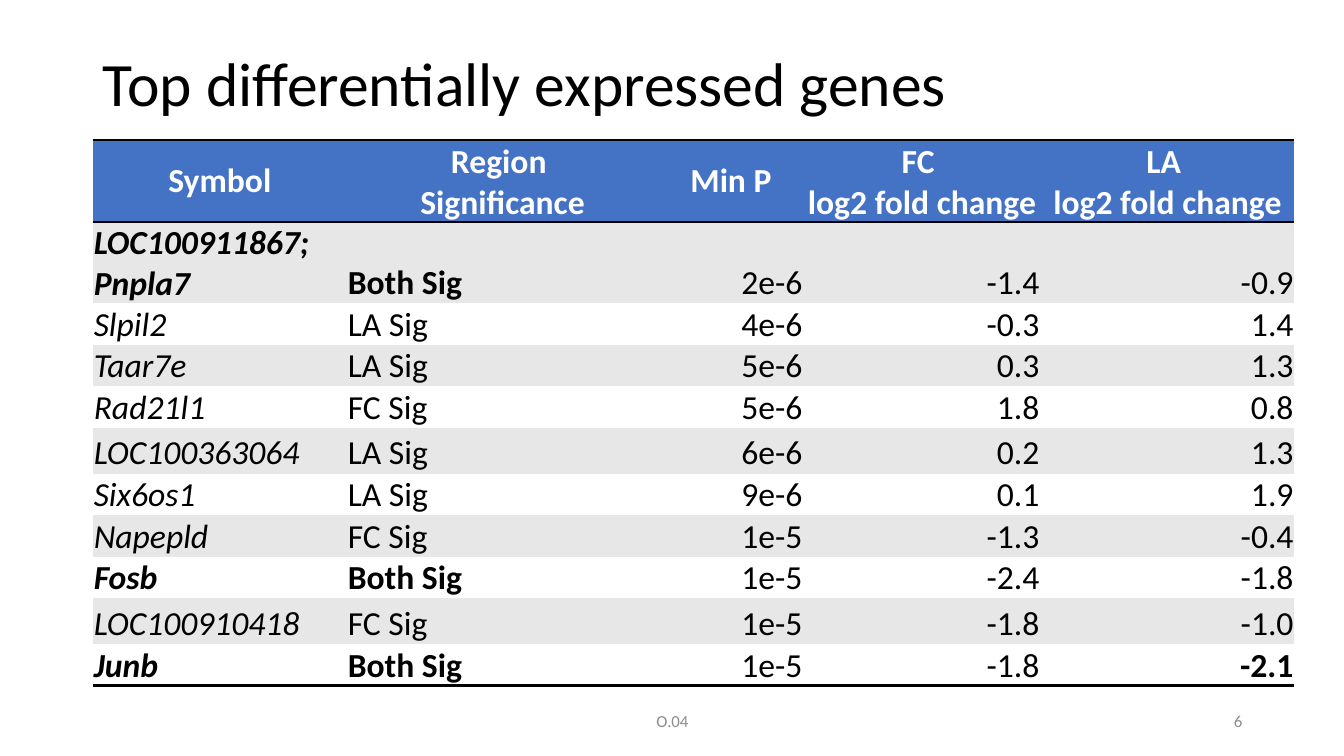
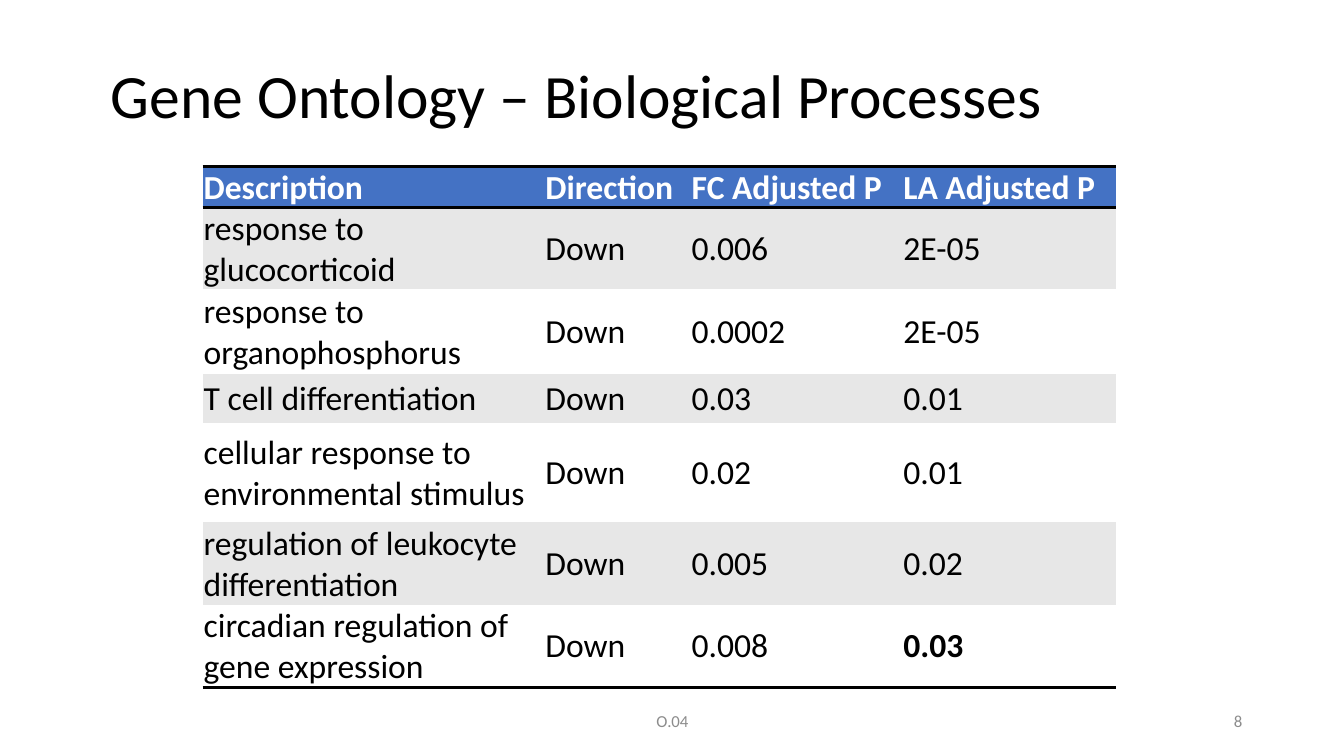
from pptx import Presentation
from pptx import util as u
from pptx.dml import color
from pptx.enum import text
from pptx.oxml import ns
from lxml import etree

PX = 9144
FONT = "Calibri"
NO_GRID_STYLE = "{2D5ABB26-0587-4C30-8999-92F81FD0307C}"
COLORS = {
    "ink": "000000",
    "header": "4472C4",
    "band": "E7E7E7",
    "paper": "FFFFFF",
    "footer": "8C8C8C",
}
LEFT, CENTER, RIGHT = text.PP_ALIGN.LEFT, text.PP_ALIGN.CENTER, text.PP_ALIGN.RIGHT
MIDDLE, BOTTOM = text.MSO_ANCHOR.MIDDLE, text.MSO_ANCHOR.BOTTOM


def style_text(frame, size, ink, align, bold=False, italic=False):
    for para in frame.paragraphs:
        para.alignment = align
        for span in para.runs:
            span.font.name = FONT
            span.font.size = u.Pt(size)
            span.font.bold = bold
            span.font.italic = italic
            span.font.color.rgb = color.RGBColor.from_string(COLORS[ink])


def add_rule(cell, side):
    properties = cell._tc.get_or_add_tcPr()
    line = etree.SubElement(properties, ns.qn(f"a:ln{side}"), w=str(u.Pt(2)))
    fill = etree.SubElement(line, ns.qn("a:solidFill"))
    etree.SubElement(fill, ns.qn("a:srgbClr"), val=COLORS["ink"])


PAGES = [
    {
        "title": "Top differentially expressed genes",
        "title_at": (92, 13),
        "number": "6",
        "table_at": (92, 139),
        "widths": [252, 309, 144, 235, 252],
        "heights": [69, 69, 35, 35, 35, 46, 35, 35, 35, 46, 35],
        "header_align": [CENTER] * 5,
        "body_align": [LEFT, LEFT, RIGHT, RIGHT, RIGHT],
        "body_anchor": BOTTOM,
        "italic_columns": [0],
        "rows": [
            ["Symbol", "Region \nSignificance", "Min P",
             "FC \nlog2 fold change", "LA \nlog2 fold change"],
            ["LOC100911867; Pnpla7", "Both Sig", "2e-6", "-1.4", "-0.9"],
            ["Slpil2", "LA Sig", "4e-6", "-0.3", "1.4"],
            ["Taar7e", "LA Sig", "5e-6", "0.3", "1.3"],
            ["Rad21l1", "FC Sig", "5e-6", "1.8", "0.8"],
            ["LOC100363064", "LA Sig", "6e-6", "0.2", "1.3"],
            ["Six6os1", "LA Sig", "9e-6", "0.1", "1.9"],
            ["Napepld", "FC Sig", "1e-5", "-1.3", "-0.4"],
            ["Fosb", "Both Sig", "1e-5", "-2.4", "-1.8"],
            ["LOC100910418", "FC Sig", "1e-5", "-1.8", "-1.0"],
            ["Junb", "Both Sig", "1e-5", "-1.8", "-2.1"],
        ],
    },
    {
        "title": "Gene Ontology – Biological Processes",
        "title_at": (100, 25),
        "number": "8",
        "table_at": (201, 165),
        "widths": [339, 145, 210, 212],
        "heights": [33, 66, 84, 49, 98, 82, 82],
        "header_align": [LEFT] * 4,
        "body_align": [LEFT] * 4,
        "body_anchor": MIDDLE,
        "italic_columns": [],
        "rows": [
            ["Description", "Direction", "FC Adjusted P", "LA Adjusted P"],
            ["response to glucocorticoid", "Down", "0.006", "2E-05"],
            ["response to organophosphorus", "Down", "0.0002", "2E-05"],
            ["T cell differentiation", "Down", "0.03", "0.01"],
            ["cellular response to environmental stimulus", "Down", "0.02", "0.01"],
            ["regulation of leukocyte differentiation", "Down", "0.005", "0.02"],
            ["circadian regulation of gene expression", "Down", "0.008", "0.03"],
        ],
    },
]

deck = Presentation()
deck.slide_width, deck.slide_height = u.Inches(13.33), u.Inches(7.5)

for content in PAGES:
    page = deck.slides.add_slide(deck.slide_layouts[5])

    title = page.shapes.title
    title.left, title.top = (value * PX for value in content["title_at"])
    title.width, title.height = 1150 * PX, 145 * PX
    title.text_frame.text = content["title"]
    title.text_frame.auto_size = text.MSO_AUTO_SIZE.NONE
    title.text_frame.vertical_anchor = MIDDLE
    title.text_frame.paragraphs[0].line_spacing = 0.9
    style_text(title.text_frame, 44, "ink", LEFT)

    for label, left, width, align in [("O.04", 442, 450, CENTER),
                                      (content["number"], 942, 300, RIGHT)]:
        box = page.shapes.add_textbox(left * PX, 695 * PX, width * PX, 40 * PX)
        box.text_frame.word_wrap = True
        box.text_frame.vertical_anchor = MIDDLE
        box.text_frame.text = label
        style_text(box.text_frame, 12, "footer", align)

    rows, widths, heights = content["rows"], content["widths"], content["heights"]
    left, top = content["table_at"]
    holder = page.shapes.add_table(len(rows), len(widths), left * PX, top * PX,
                                   sum(widths) * PX, sum(heights) * PX)
    table = holder.table
    table._tbl.tblPr.find(ns.qn("a:tableStyleId")).text = NO_GRID_STYLE
    for column, width in zip(table.columns, widths):
        column.width = width * PX
    for row, height in zip(table.rows, heights):
        row.height = height * PX

    last_row, last_column = len(rows) - 1, len(widths) - 1
    for r, values in enumerate(rows):
        header = r == 0
        background = "header" if header else "band" if r % 2 else "paper"
        aligns = content["header_align" if header else "body_align"]
        for c, value in enumerate(values):
            cell = table.cell(r, c)
            cell.margin_left = cell.margin_right = cell.margin_top = PX
            cell.margin_bottom = 0
            cell.vertical_anchor = MIDDLE if header else content["body_anchor"]
            if header:
                add_rule(cell, "T")
            if header or r == last_row:
                add_rule(cell, "B")
            cell.fill.solid()
            cell.fill.fore_color.rgb = color.RGBColor.from_string(COLORS[background])
            cell.text_frame.text = value
            both_significant = c < 2 and values[1] == "Both Sig"
            final_cell = (r, c) == (last_row, last_column)
            style_text(cell.text_frame, 24, "paper" if header else "ink", aligns[c],
                       bold=header or both_significant or final_cell,
                       italic=not header and c in content["italic_columns"])

deck.save("out.pptx")
